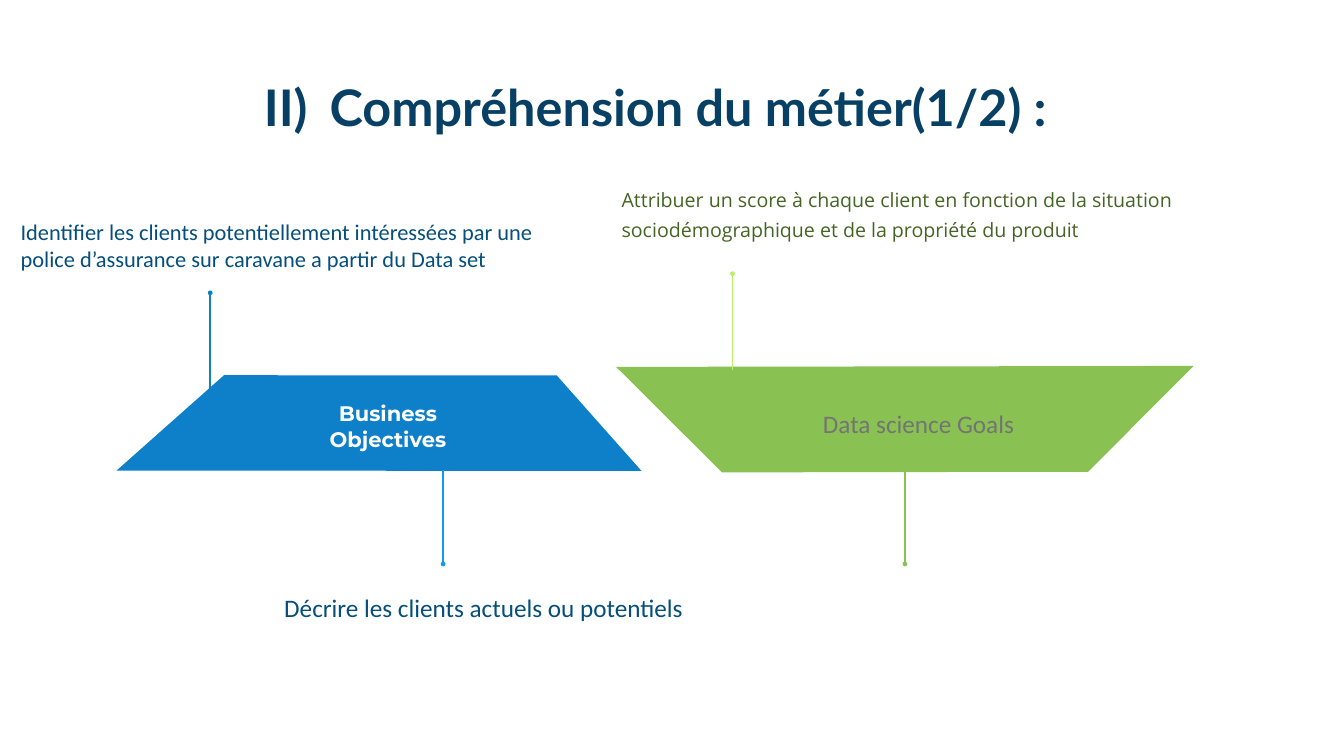
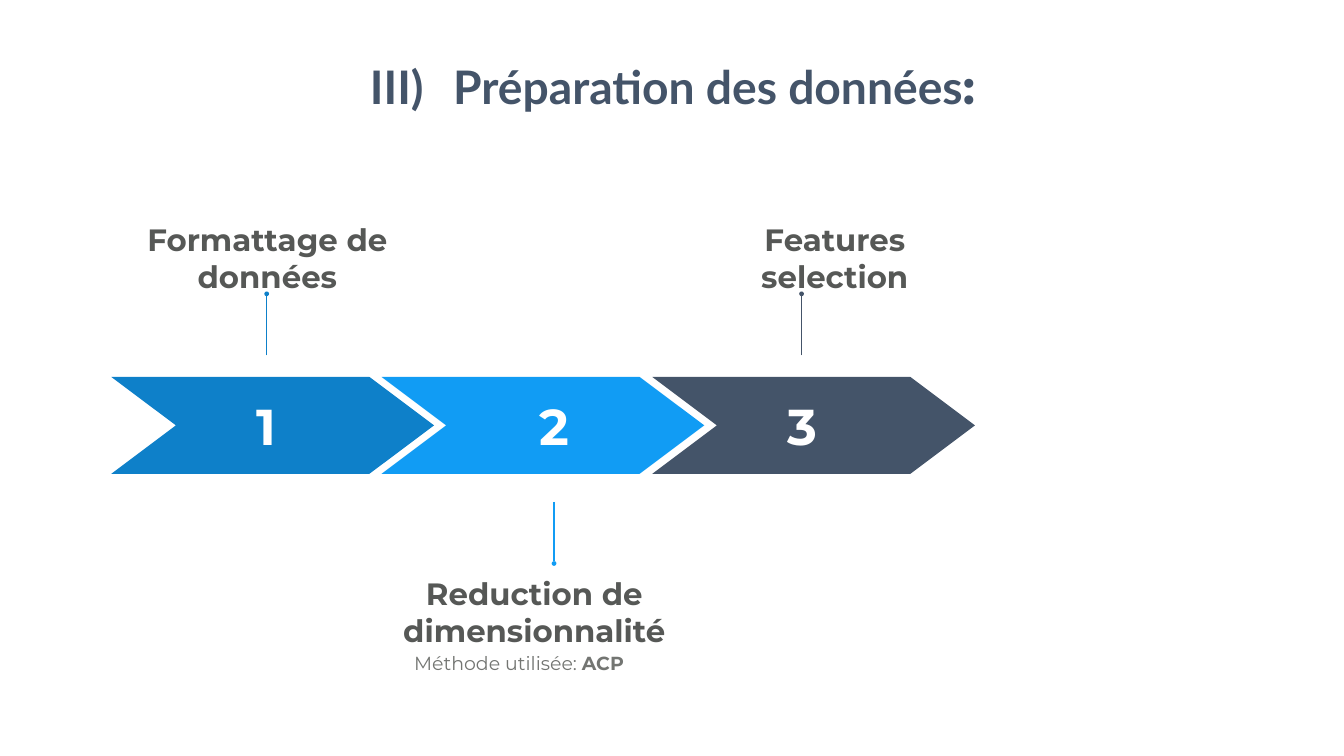
from lxml import etree
from pptx import Presentation
from pptx import util as u
from pptx.dml.color import RGBColor
from pptx.enum import shapes, text
from pptx.oxml import ns

PX = 9144  # EMU per px: 100 px to the inch

# Shared colours
BLUE, SKY, SLATE = "0E80C9", "119CF4", "445469"
GREEN, LIME, OLIVE = "8AC153", "BAEF69", "456525"
NAVY, INK = "074064", "064F7D"
GREY, DARK, WHITE = "737572", "565856", "FFFFFF"

CENTER, LEFT = text.PP_ALIGN.CENTER, text.PP_ALIGN.LEFT
TOP, MIDDLE, BOTTOM = (text.MSO_ANCHOR.TOP, text.MSO_ANCHOR.MIDDLE,
                       text.MSO_ANCHOR.BOTTOM)


def px(value):
    return u.Emu(round(value * PX))


def color(value):
    return RGBColor.from_string(value)


def paint(shape, fill):
    shape.shadow.inherit = False
    shape.fill.solid()
    shape.fill.fore_color.rgb = color(fill)
    shape.line.fill.background()


def label(slide, box, words, size, font, ink, bold=False, align=CENTER,
          anchor=MIDDLE, wrap=True, leading=None, inset=(10, 5)):
    """Add a one-paragraph text box and return its paragraph."""
    frame = slide.shapes.add_textbox(*map(px, box)).text_frame
    frame.word_wrap = wrap
    frame.vertical_anchor = anchor
    frame.margin_left = frame.margin_right = px(inset[0])
    frame.margin_top = frame.margin_bottom = px(inset[1])
    line = frame.paragraphs[0]
    line.alignment = align
    if leading:
        line.line_spacing = u.Pt(leading)
    line.font.size, line.font.name, line.font.bold = u.Pt(size), font, bold
    line.font.color.rgb = color(ink)
    line.add_run().text = words
    return line


def title(slide, box, numeral, words, size, ink, gap, leading=None):
    """Title with a numeral, a widened space of `gap` points and the words."""
    line = label(slide, box, numeral, size, "Lato", ink, True, anchor=TOP,
                 leading=leading)
    space = line.add_run()
    space.text = " "
    space.font._element.set("spc", str(gap * 100))
    line.add_run().text = words
    return line


def note(slide, box, words, size, font, ink, align=LEFT):
    """Small text with fixed leading and wide margins."""
    return label(slide, box, words, size, font, ink, align=align, anchor=TOP,
                 leading=43, inset=(24, 12))


def pin(slide, x, start, end, ink):
    """Vertical line with a dot at its end."""
    stem = slide.shapes.add_connector(
        shapes.MSO_CONNECTOR.STRAIGHT, px(x), px(start), px(x), px(end))
    stem.line.color.rgb = color(ink)
    stem.line.width = u.Pt(2.25)
    etree.SubElement(stem.line._get_or_add_ln(), ns.qn("a:tailEnd"), type="oval")
    etree.SubElement(stem._element.spPr, ns.qn("a:effectLst"))


def stripe(slide, box, rotation, fill):
    band = slide.shapes.add_shape(
        shapes.MSO_SHAPE.DIAGONAL_STRIPE, *map(px, box))
    band.adjustments[0] = 0.634
    band.rotation = rotation
    paint(band, fill)


def chevron(slide, left, top, fill, width=640, height=192, point=128):
    shoulder, right, middle = left + width - point, left + width, top + height / 2
    outline = slide.shapes.build_freeform(left, top, scale=PX)
    outline.add_line_segments([
        (shoulder, top), (right, middle), (shoulder, top + height),
        (left, top + height), (left + point, middle)])
    paint(outline.convert_to_shape(), fill)


def business_slide(slide):
    # Two opposed bands
    stripe(slide, (406, 545, 692, 778), 48.4, BLUE)
    stripe(slide, (1390, 322, 810, 810), 224.9, GREEN)
    label(slide, (554, 815, 431, 61), "Business Objectives", 30, "Montserrat",
          WHITE, True)
    label(slide, (1598, 804, 448, 71), "Data science Goals", 36, "Calibri", GREY)

    # Pins
    for x, start, end, ink in ((1795, 933, 1119, GREEN), (1453, 734, 543, LIME),
                               (417, 771, 581, BLUE), (879, 933, 1119, SKY)):
        pin(slide, x, start, end, ink)

    # Explanations
    label(slide, (31, 321, 1046, 330),
          "Identifier les clients potentiellement intéressées par une police "
          "d’assurance sur caravane a partir du Data set",
          32, "Calibri", INK, align=LEFT)
    label(slide, (554, 1048, 833, 192), "Décrire les clients actuels ou potentiels",
          36, "Calibri", INK, align=LEFT, anchor=BOTTOM)
    note(slide, (1209, 347, 1173, 138),
         "Attribuer un score à chaque client en fonction de la situation "
         "sociodémographique et de la propriété du produit",
         28, "Open Sans", OLIVE)
    title(slide, (232, 147, 2136, 131), "II)", "Compréhension du métier(1/2) :",
          72, NAVY, gap=14)


def preparation_slide(slide):
    heading = title(slide, (574, 81, 1520, 150), "III)", "Préparation des données",
                    66, SLATE, gap=26, leading=100)
    colon = heading.add_run()
    colon.text = ":"
    colon.font.name = "Montserrat"

    # Steps: fill, centre of number, pin (x, start, end), heading box, heading
    steps = (
        (BLUE, 529, (529, 705, 583), (172, 469, 717, 84), "Formattage de données"),
        (SKY, 1098, (1099, 996, 1118), (611, 1171, 898, 84),
         "Reduction de dimensionnalité"),
        (SLATE, 1590, (1590, 705, 583), (1375, 469, 562, 84), "Features selection"),
    )
    for index, (fill, center, stem, box, words) in enumerate(steps):
        chevron(slide, 221 + round(index * 536.5), 748, fill)
        label(slide, (center - 38, 778, 76, 131), str(index + 1), 72,
              "Montserrat", WHITE, True, wrap=False)
        pin(slide, *stem, fill)
        label(slide, box, words, 44, "Montserrat", DARK, True)

    # Method used
    method = note(slide, (765, 1266, 529, 78), "Méthode utilisée: ", 27,
                  "Montserrat", GREY, CENTER)
    acronym = method.add_run()
    acronym.text = "ACP"
    acronym.font.bold = True


def main():
    deck = Presentation()
    deck.slide_width, deck.slide_height = px(2666), px(1500)
    blank = deck.slide_layouts[6]
    for build in (business_slide, preparation_slide):
        build(deck.slides.add_slide(blank))
    deck.save("out.pptx")


if __name__ == "__main__":
    main()
